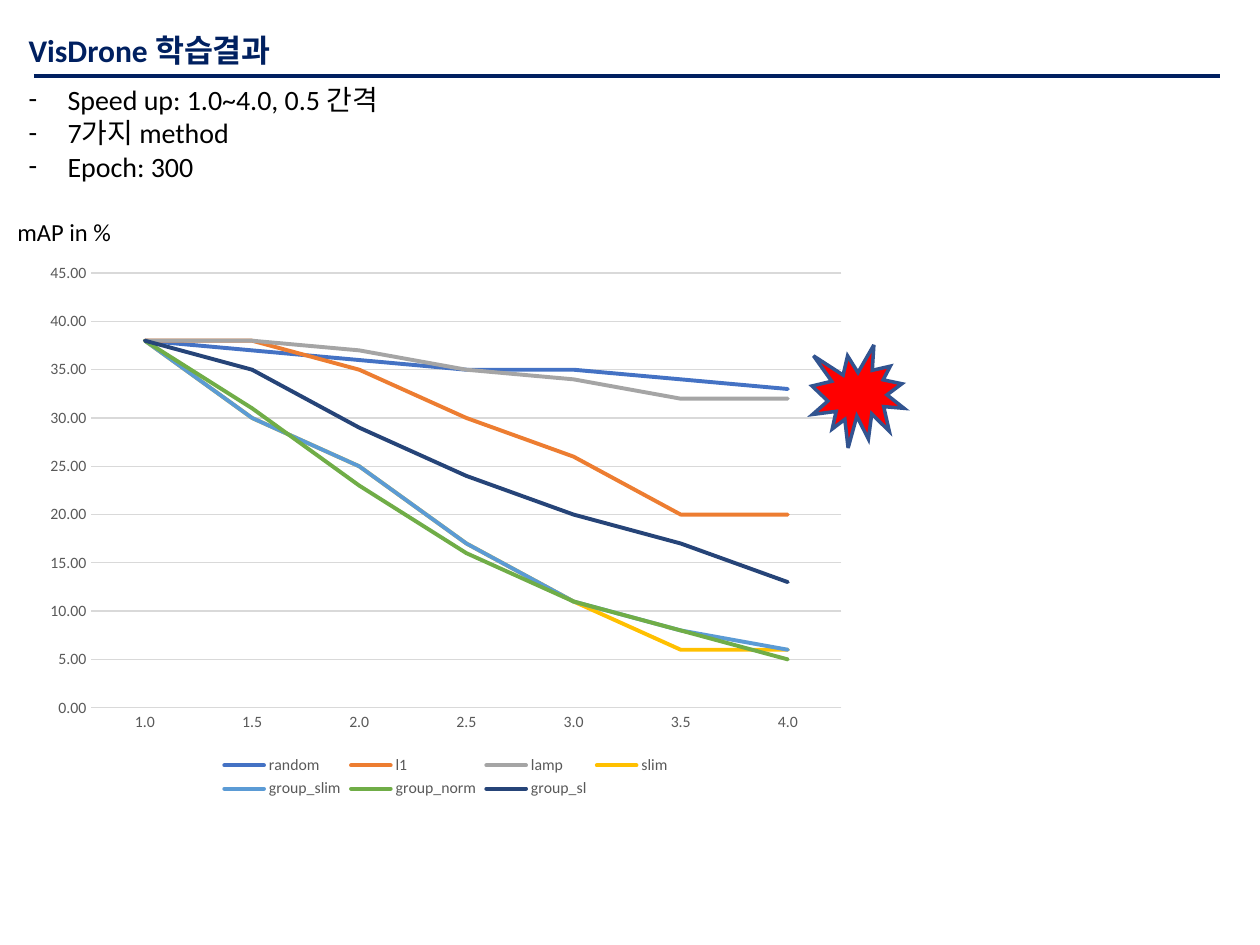
from dataclasses import dataclass

import pptx
import pptx.chart.data
import pptx.dml.color
import pptx.enum.chart
import pptx.enum.shapes
import pptx.enum.text
import pptx.oxml
import pptx.oxml.ns
import pptx.util

PX_PER_INCH = 126


@dataclass(frozen=True)
class Theme:
    font: str = "Calibri"
    navy: str = "002060"
    black: str = "000000"
    label: str = "595959"
    grid: str = "D9D9D9"
    burst: str = "FF0000"
    burst_edge: str = "325490"
    title_size: int = 18
    body_size: int = 16
    caption_size: int = 14
    chart_size: int = 9


THEME = Theme()

SPEED_UPS = ["1.0", "1.5", "2.0", "2.5", "3.0", "3.5", "4.0"]
METHODS = [
    ("random", "4472C4", [38, 37, 36, 35, 35, 34, 33]),
    ("l1", "ED7D31", [38, 38, 35, 30, 26, 20, 20]),
    ("lamp", "A5A5A5", [38, 38, 37, 35, 34, 32, 32]),
    ("slim", "FFC000", [38, 30, 25, 17, 11, 6, 6]),
    ("group_slim", "5B9BD5", [38, 30, 25, 17, 11, 8, 6]),
    ("group_norm", "70AD47", [38, 31, 23, 16, 11, 8, 5]),
    ("group_sl", "264478", [38, 35, 29, 24, 20, 17, 13]),
]


def px(length):
    return pptx.util.Emu(round(length * 914400 / PX_PER_INCH))


def rgb(value):
    return pptx.dml.color.RGBColor.from_string(value)


def drawing_element(tag, attributes="", content=""):
    namespace = pptx.oxml.ns.nsdecls("a")
    return pptx.oxml.parse_xml(f"<a:{tag} {namespace} {attributes}>{content}</a:{tag}>")


def style_font(font, size, color, bold=False):
    font.name = THEME.font
    font.size = pptx.util.Pt(size)
    font.bold = bold
    font.color.rgb = rgb(color)


def style_line(line, color, width):
    line.color.rgb = rgb(color)
    line.width = pptx.util.Pt(width)


def place(shape, left, top, width, height):
    shape.left, shape.top = px(left), px(top)
    shape.width, shape.height = px(width), px(height)


def fill_text(shape, text, size, color, bold=False, wrap=True):
    frame = shape.text_frame
    frame.text = text
    frame.word_wrap = wrap
    frame.auto_size = pptx.enum.text.MSO_AUTO_SIZE.SHAPE_TO_FIT_TEXT
    frame.vertical_anchor = pptx.enum.text.MSO_ANCHOR.TOP
    for paragraph in frame.paragraphs:
        paragraph.alignment = pptx.enum.text.PP_ALIGN.LEFT
        paragraph.space_before = pptx.util.Pt(0)
        for run in paragraph.runs:
            style_font(run.font, size, color, bold)


def add_dash_bullet(paragraph, indent):
    properties = paragraph._p.get_or_add_pPr()
    properties.set("marL", str(px(indent)))
    properties.set("indent", str(-px(indent)))
    bullet_color = f'<a:srgbClr val="{THEME.black}"/>'
    properties.append(drawing_element("buClr", content=bullet_color))
    properties.append(drawing_element("buFont", f'typeface="{THEME.font}"'))
    properties.append(drawing_element("buChar", 'char="-"'))


def add_title(slide):
    title = slide.shapes.title
    place(title, 16, 25, 1222, 50)
    fill_text(title, "VisDrone 학습결과", THEME.title_size, THEME.navy, bold=True)


def add_title_rule(slide):
    rule = slide.shapes.add_connector(
        pptx.enum.shapes.MSO_CONNECTOR.STRAIGHT, px(34), px(76), px(1220), px(76))
    style_line(rule.line, THEME.navy, 2.25)
    rule._element.spPr.append(drawing_element("effectLst"))


def add_settings_list(slide):
    settings = slide.placeholders[1]
    place(settings, 16, 76, 1200, 113)
    lines = ["Speed up: 1.0~4.0, 0.5 간격", "7가지 method", "Epoch: 300"]
    fill_text(settings, "\n".join(lines), THEME.body_size, THEME.black)
    for paragraph in settings.text_frame.paragraphs:
        add_dash_bullet(paragraph, 39)


def add_axis_caption(slide):
    caption = slide.shapes.add_textbox(px(5), px(211), px(141), px(42))
    fill_text(caption, "mAP in %", THEME.caption_size, THEME.black, wrap=False)


def style_axis(axis, number_format):
    axis.major_tick_mark = pptx.enum.chart.XL_TICK_MARK.NONE
    axis.minor_tick_mark = pptx.enum.chart.XL_TICK_MARK.NONE
    axis.tick_labels.number_format = number_format
    axis.tick_labels.number_format_is_linked = False
    style_font(axis.tick_labels.font, THEME.chart_size, THEME.label)


def add_accuracy_chart(slide):
    data = pptx.chart.data.CategoryChartData(number_format="0.00")
    data.categories = SPEED_UPS
    for name, _, values in METHODS:
        data.add_series(name, values)
    chart = slide.shapes.add_chart(
        pptx.enum.chart.XL_CHART_TYPE.LINE,
        px(34), px(253), px(824), px(550), data).chart
    chart.has_title = False
    style_font(chart.font, THEME.chart_size, THEME.label)

    chart.has_legend = True
    chart.legend.position = pptx.enum.chart.XL_LEGEND_POSITION.BOTTOM
    chart.legend.include_in_layout = False
    style_font(chart.legend.font, THEME.chart_size, THEME.label)

    style_axis(chart.category_axis, "0.0")
    style_line(chart.category_axis.format.line, THEME.grid, 0.75)
    accuracy_axis = chart.value_axis
    style_axis(accuracy_axis, "0.00")
    accuracy_axis.minimum_scale, accuracy_axis.maximum_scale = 0, 45
    accuracy_axis.major_unit = 5
    accuracy_axis.format.line.fill.background()
    style_line(accuracy_axis.major_gridlines.format.line, THEME.grid, 0.75)

    plot = chart.plots[0]
    plot.vary_by_categories = False
    for series, (_, color, _) in zip(plot.series, METHODS):
        series.smooth = False
        series.marker.style = pptx.enum.chart.XL_MARKER_STYLE.NONE
        style_line(series.format.line, color, 2.25)
        outline = series.format.line._get_or_add_ln()
        outline.set("cap", "rnd")
        outline.append(drawing_element("round"))


def add_burst(slide):
    burst = slide.shapes.add_shape(
        pptx.enum.shapes.MSO_SHAPE.EXPLOSION1, px(812), px(345), px(92), px(103))
    burst.shadow.inherit = False
    burst.fill.solid()
    burst.fill.fore_color.rgb = rgb(THEME.burst)
    style_line(burst.line, THEME.burst_edge, 2)
    burst.line._get_or_add_ln().append(drawing_element("miter", 'lim="800000"'))


def main():
    presentation = pptx.Presentation()
    presentation.slide_width, presentation.slide_height = px(1260), px(945)
    slide = presentation.slides.add_slide(presentation.slide_layouts[1])
    add_title(slide)
    add_title_rule(slide)
    add_settings_list(slide)
    add_axis_caption(slide)
    add_accuracy_chart(slide)
    add_burst(slide)
    presentation.save("out.pptx")


if __name__ == "__main__":
    main()
